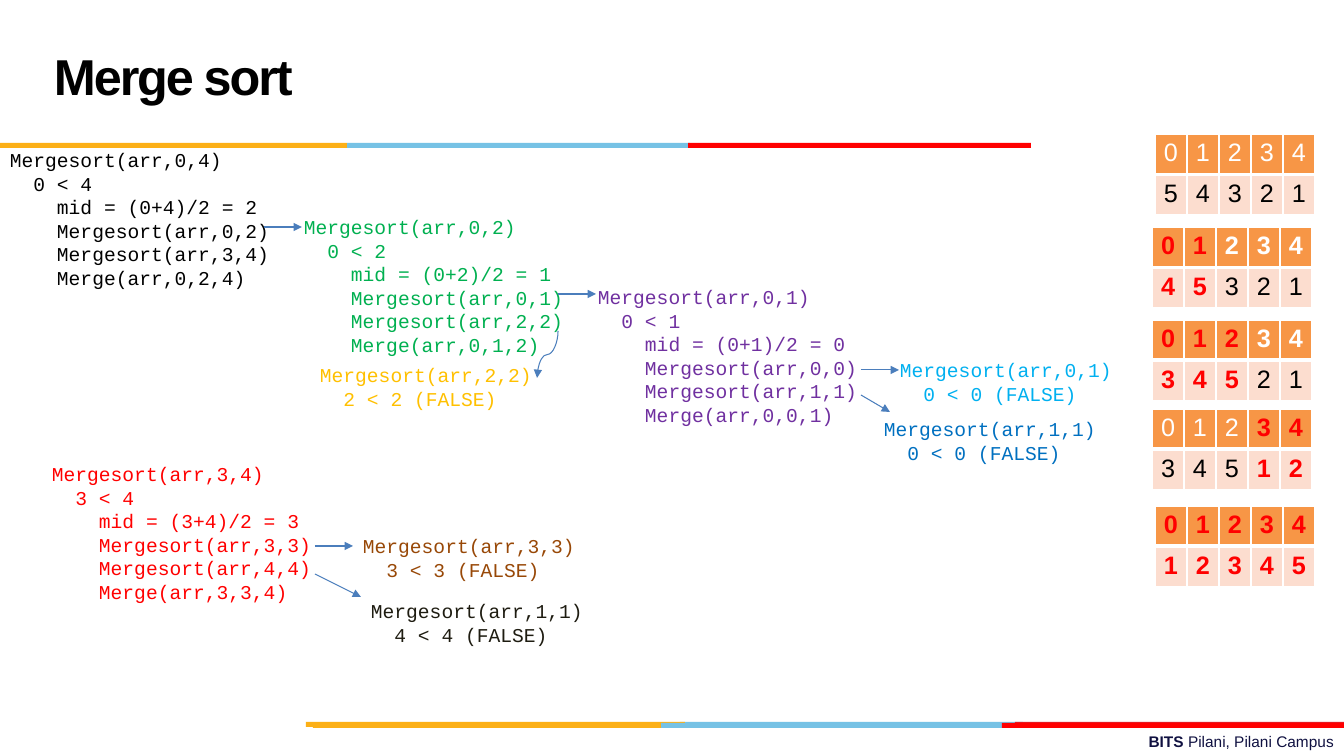
from lxml.etree import SubElement
from pptx import Presentation
from pptx.dml.color import RGBColor
from pptx.enum.shapes import MSO_CONNECTOR, MSO_SHAPE
from pptx.enum.text import MSO_ANCHOR, PP_ALIGN
from pptx.oxml.ns import qn
from pptx.util import Pt

SCALE = 914400 / 100.8
GOLD, SKY, RED, WHITE, BLACK = "FCB017", "76C2E5", "FF0000", "FFFFFF", "000000"


def px(size):
    return round(size * SCALE)


def tint(code):
    return RGBColor.from_string(code)


def style(item, form):
    for name, value in form.items():
        setattr(item, name, value)


def write(para, text, color, size, face="Arial", bold=False):
    run = para.add_run()
    run.text = text
    style(run.font, {"name": face, "size": Pt(size), "bold": bold})
    run.font.color.rgb = tint(color)
    return run


def frame(slide, box):
    body = slide.shapes.add_textbox(*map(px, box)).text_frame
    body.word_wrap = True
    return body


def bars(slide, top, parts):
    for left, width, color in parts:
        bar = slide.shapes.add_shape(MSO_SHAPE.RECTANGLE, *map(px, (left, top, width, 5)))
        bar.shadow.inherit = False
        bar.fill.solid()
        bar.fill.fore_color.rgb = tint(color)
        bar.line.fill.background()


def title(slide, box, text):
    body = frame(slide, box)
    body.vertical_anchor = MSO_ANCHOR.MIDDLE
    para = body.paragraphs[0]
    para.line_spacing = Pt(36)
    run = write(para, text, BLACK, 36, bold=True)
    run.font._element.set("spc", "-150")


def footer(slide, box):
    para = frame(slide, box).paragraphs[0]
    para.alignment = PP_ALIGN.RIGHT
    write(para, "BITS ", "101141", 11, bold=True)
    write(para, "Pilani, Pilani Campus", "101141", 11)


def code(slide, left, top, color, lines):
    body = frame(slide, (left, top, 294, 10 + 24 * len(lines)))
    for row, line in enumerate(lines):
        para = body.add_paragraph() if row else body.paragraphs[0]
        write(para, line, color, 14, "Courier New")


def split(low, high):
    mid = (low + high) // 2
    return [
        f"Mergesort(arr,{low},{high})",
        f"  {low} < {high}",
        f"    mid = ({low}+{high})/2 = {mid}",
        f"    Mergesort(arr,{low},{mid})",
        f"    Mergesort(arr,{mid + 1},{high})",
        f"    Merge(arr,{low},{mid},{high})",
    ]


def leaf(low, high, test):
    return [f"Mergesort(arr,{low},{high})", f"  {test} < {test} (FALSE)"]


def arrow(slide, ends, kind=MSO_CONNECTOR.STRAIGHT, tip="tailEnd"):
    link = slide.shapes.add_connector(kind, *map(px, ends))
    link.line.width = Pt(0.75)
    link.line.color.rgb = tint("4B7EBC")
    SubElement(link.line._get_or_add_ln(), qn("a:" + tip), type="triangle")
    SubElement(link._element.spPr, qn("a:effectLst"))
    return link


def hook(slide, ends):
    link = arrow(slide, ends, MSO_CONNECTOR.CURVE, "headEnd")
    link._element.spPr.find(qn("a:xfrm")).set("rot", "5400000")


def border(cell, side, width):
    line = SubElement(cell._tc.get_or_add_tcPr(), qn("a:ln" + side), w=str(Pt(width)))
    fill = SubElement(line, qn("a:solidFill"))
    SubElement(fill, qn("a:srgbClr"), val=WHITE)


def array(slide, left, top, values, marked, heavy):
    grid = slide.shapes.add_table(2, 5, *map(px, (left, top, 160, 80))).table
    looks = [("01234", WHITE, "F79646", heavy), (values, BLACK, "FCDDCF", False)]
    for row, (digits, ink, back, bold) in enumerate(looks):
        for col, digit in enumerate(digits):
            cell = grid.cell(row, col)
            style(cell, {"margin_left": 0, "margin_right": 0})
            for side in "LRTB":
                border(cell, side, 3 if side == "BT"[row] else 1)
            cell.fill.solid()
            cell.fill.fore_color.rgb = tint(back)
            para = cell.text_frame.paragraphs[0]
            para.alignment = PP_ALIGN.CENTER
            hit = str(col) in marked
            write(para, digit, RED if hit else ink, 18, bold=hit or bold)


def main():
    deck = Presentation()
    style(deck, {"slide_width": px(1344), "slide_height": px(756)})
    slide = deck.slides.add_slide(deck.slide_layouts[6])

    footer(slide, (481, 727, 863, 29))
    bars(slide, 722, [(680, 343, SKY), (1015, 329, "E31C24"), (306, 379, GOLD)])
    bars(slide, 723, [(661, 343, SKY), (313, 348, GOLD), (1002, 342, RED)])
    bars(slide, 143, [(347, 343, SKY), (0, 347, GOLD), (688, 343, RED)])
    title(slide, (44, 17, 929, 126), "Merge sort")

    for left, top, color, lines in [
        (0, 143, BLACK, split(0, 4)),
        (294, 210, "00B050", split(0, 2)),
        (588, 280, "7030A0", split(0, 1)),
        (890, 353, "00B0F0", leaf(0, 1, 0)),
        (874, 412, "0070C0", leaf(1, 1, 0)),
        (310, 358, "FFC000", leaf(2, 2, 2)),
        (42, 457, RED, split(3, 4)),
        (353, 529, "984807", leaf(3, 3, 3)),
        (361, 594, "1E1C11", leaf(1, 1, 4)),
    ]:
        code(slide, left, top, color, lines)

    for ends in [
        (264, 227, 302, 227),
        (558, 294, 596, 294),
        (861, 370, 899, 370),
        (861, 395, 890, 412),
        (315, 546, 353, 546),
        (315, 574, 361, 597),
    ]:
        arrow(slide, ends)
    hook(slide, (571, 365, 524, 344))

    for left, top, values, marked, heavy in [
        (1155, 134, "54321", "", False),
        (1152, 227, "45321", "01", True),
        (1152, 320, "34521", "012", True),
        (1152, 409, "34512", "34", False),
        (1155, 506, "12345", "01234", True),
    ]:
        array(slide, left, top, values, marked, heavy)

    deck.save("out.pptx")


if __name__ == "__main__":
    main()
